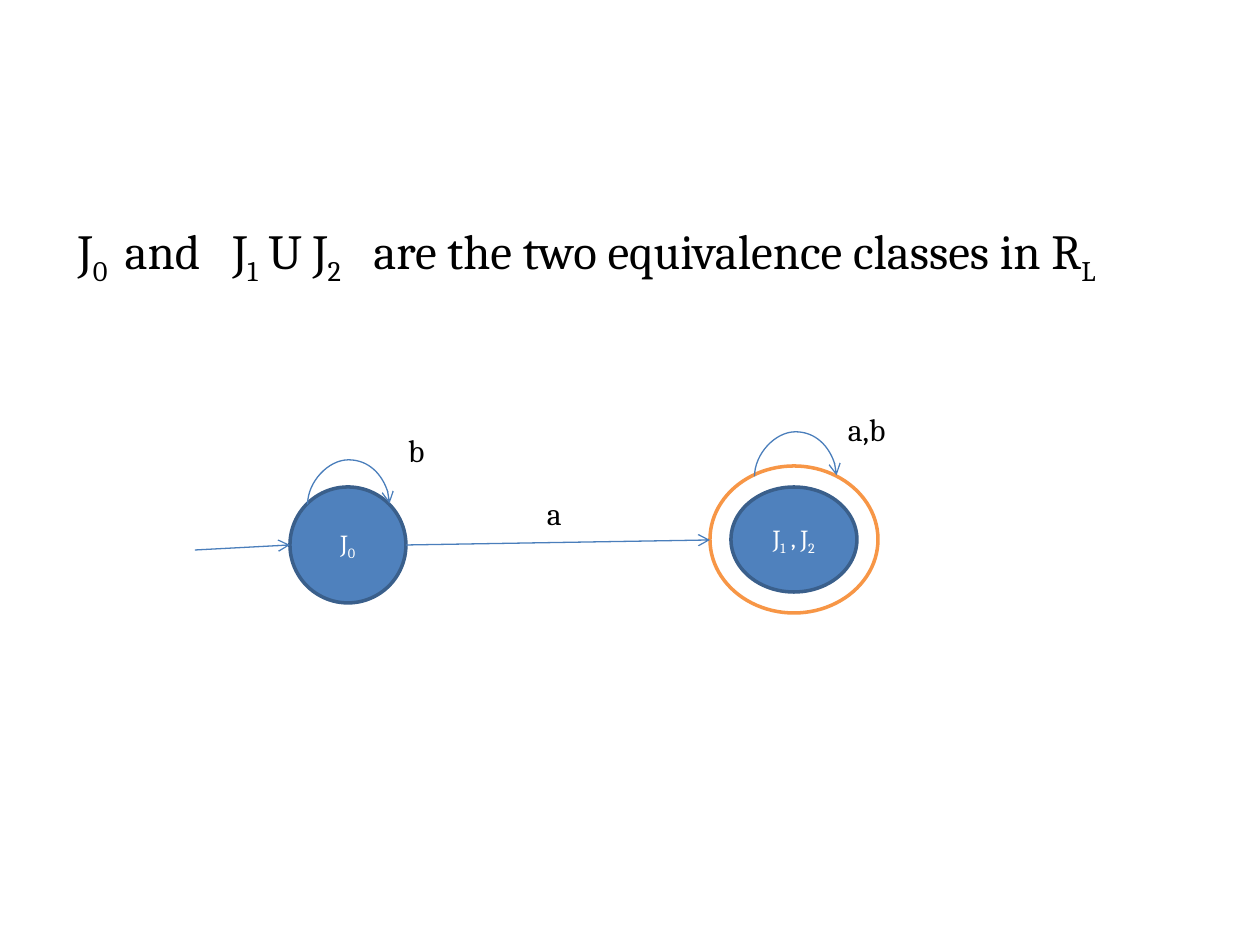
from lxml.etree import SubElement
from pptx import Presentation
from pptx.dml.color import RGBColor
from pptx.enum.shapes import MSO_CONNECTOR as CONNECTOR, MSO_SHAPE as SHAPE
from pptx.enum.text import MSO_ANCHOR as ANCHOR, PP_ALIGN as ALIGN
from pptx.oxml.ns import qn
from pptx.util import Pt

PX = 914400 // 126
BLUE, DARK_BLUE, ORANGE, ARROW_BLUE = "4F81BD", "3A5F8B", "F79646", "4A7EBB"


def write(shape, text, size=18, color="000000", align=ALIGN.LEFT,
          anchor=ANCHOR.TOP, margins=(13, 6)):
    """Write text in which every second part between underscores is a subscript."""
    frame = shape.text_frame
    frame.word_wrap = True
    frame.vertical_anchor = anchor
    frame.margin_left = frame.margin_right = margins[0] * PX
    frame.margin_top = frame.margin_bottom = margins[1] * PX
    paragraph = frame.paragraphs[0]
    paragraph.alignment = align
    for index, part in enumerate(text.split("_")):
        run = paragraph.add_run()
        run.text = part
        run.font.name = "Cambria"
        run.font.size = Pt(size)
        run.font.color.rgb = RGBColor.from_string(color)
        if index % 2:
            run._r.get_or_add_rPr().set("baseline", "-25000")
    return paragraph


def add_arrow(kind, *ends):
    arrow = slide.shapes.add_connector(kind, *(end * PX for end in ends))
    arrow.line.color.rgb = RGBColor.from_string(ARROW_BLUE)
    arrow.line.width = Pt(0.75)
    SubElement(arrow.line._get_or_add_ln(), qn("a:tailEnd"), type="arrow")
    SubElement(arrow._element.spPr, qn("a:effectLst"))
    return arrow


presentation = Presentation()
presentation.slide_width = 1260 * PX
presentation.slide_height = 945 * PX
slide = presentation.slides.add_slide(presentation.slide_layouts[1])
title, body = slide.placeholders
title._element.getparent().remove(title._element)

# Statement
body.left, body.top, body.width, body.height = (
    value * PX for value in (63, 220, 1134, 548))
statement = write(
    body, "J_0 _ and   J_1_ U J_2_   are the two equivalence classes in R_L",
    size=28, margins=(0, 0))
statement.space_before = Pt(0)
statement.space_after = Pt(14.2)
properties = statement._p.get_or_add_pPr()
properties.set("marL", str(50 * PX))
properties.set("indent", str(-35 * PX))
SubElement(properties, qn("a:buNone"))

# States: the accepting one has an outer ring
for left, top, width, height, fill, line, name in (
        (290, 487, 116, 116, BLUE, DARK_BLUE, "J_0"),
        (710, 466, 168, 147, "FFFFFF", ORANGE, ""),
        (731, 487, 126, 105, BLUE, DARK_BLUE, "J_1_ , J_2")):
    state = slide.shapes.add_shape(
        SHAPE.OVAL, left * PX, top * PX, width * PX, height * PX)
    state.shadow.inherit = False
    state.fill.solid()
    state.fill.fore_color.rgb = RGBColor.from_string(fill)
    state.line.color.rgb = RGBColor.from_string(line)
    state.line.width = Pt(2)
    if name:
        write(state, name, size=14, color="FFFFFF", align=ALIGN.CENTER,
              anchor=ANCHOR.MIDDLE)

# Transitions
add_arrow(CONNECTOR.STRAIGHT, 195, 550, 290, 545)
add_arrow(CONNECTOR.STRAIGHT, 406, 545, 710, 540)

# Loops: one px wide before the quarter turn, so the bulge is counted in px
BULGE = 45
for center, foot in ((348, 504), (795, 476)):
    loop = add_arrow(CONNECTOR.CURVE, center + 1, foot + 41, center, foot - 41)
    loop.rotation = 90
    geometry = loop._element.spPr.find(qn("a:prstGeom"))
    SubElement(geometry.find(qn("a:avLst")), qn("a:gd"),
               name="adj1", fmla=f"val {BULGE * 100000}")

# Input symbols
for left, top, width, symbol in (
        (395, 425, 42, "b"), (835, 404, 84, "a,b"), (534, 488, 50, "a")):
    label = slide.shapes.add_textbox(left * PX, top * PX, width * PX, 50 * PX)
    write(label, symbol)

presentation.save("out.pptx")
